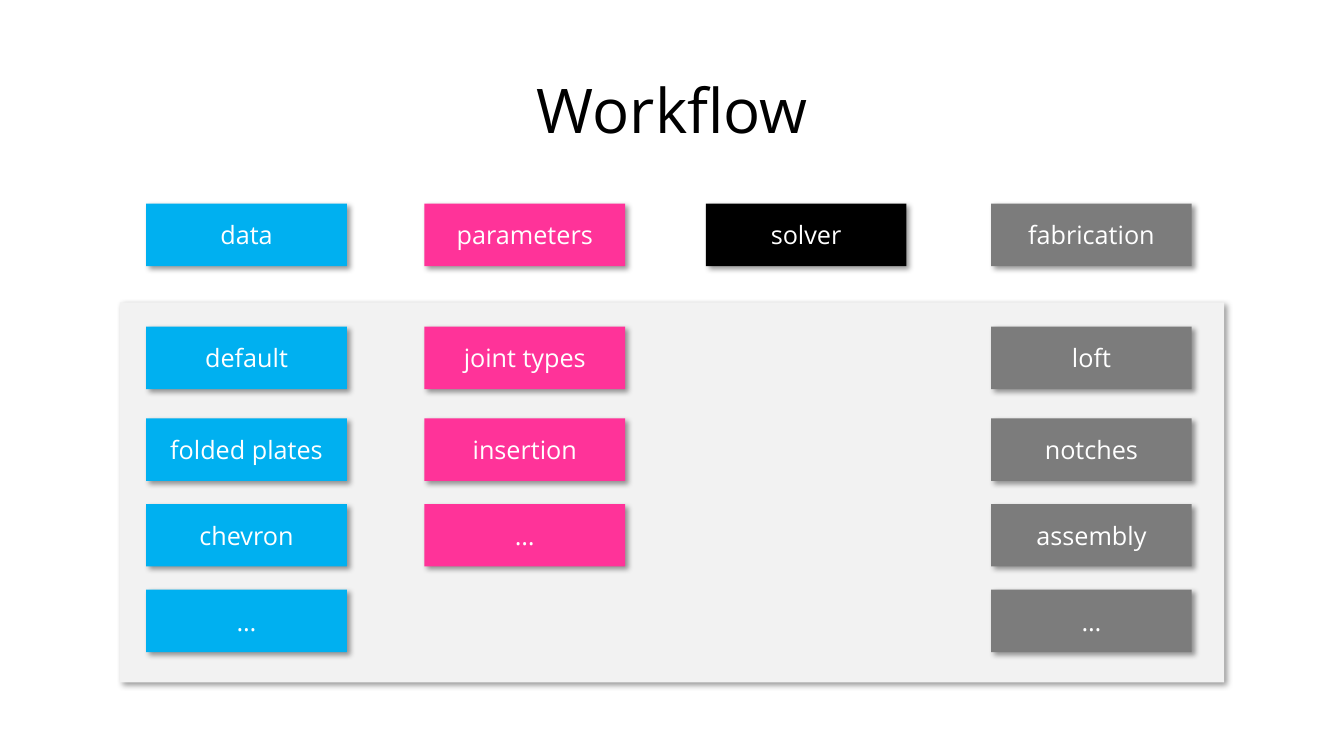
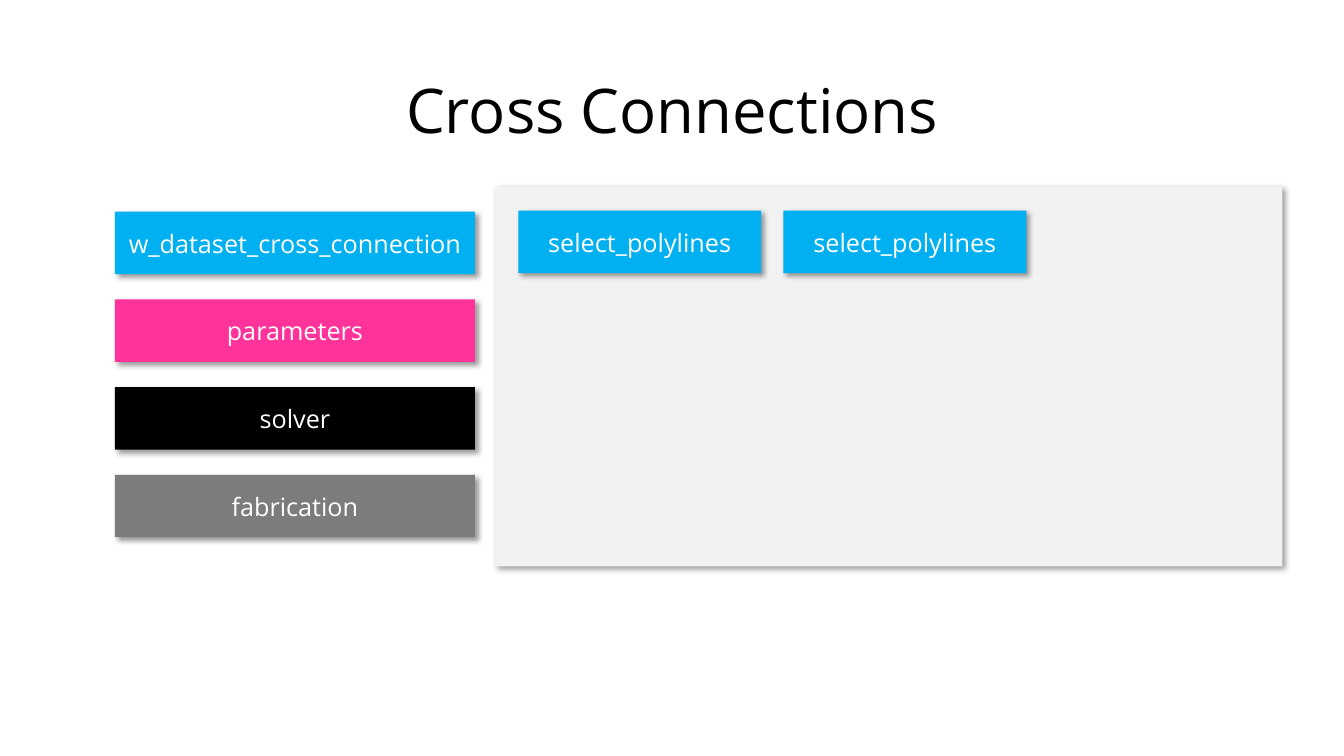
from dataclasses import dataclass

from lxml import etree
from pptx import Presentation
from pptx.dml.color import RGBColor
from pptx.enum.shapes import MSO_SHAPE
from pptx.enum.text import MSO_ANCHOR, PP_ALIGN
from pptx.oxml import parse_xml
from pptx.util import Inches, Pt


@dataclass(frozen=True)
class Theme:
    font: str = "Open Sans"
    title_size: int = 44
    box_size: int = 18
    box_height: float = 0.62
    data: str = "00B0F0"
    parameters: str = "FF3399"
    solver: str = "000000"
    fabrication: str = "7C7C7C"
    panel: str = "F2F2F2"
    title_text: str = "000000"
    box_text: str = "FFFFFF"


THEME = Theme()
SHADOW = (
    '<a:outerShdw xmlns:a="http://schemas.openxmlformats.org/drawingml/2006/main" '
    'blurRad="50800" dist="38100" dir="2700000" algn="tl" rotWithShape="0">'
    '<a:srgbClr val="000000"><a:alpha val="40000"/></a:srgbClr></a:outerShdw>'
)


def write_text(shape, text, size, color, line_spacing=1.0):
    """Fill a shape with one centred line in the theme font."""
    frame = shape.text_frame
    frame.text = text
    frame.word_wrap = True
    frame.vertical_anchor = MSO_ANCHOR.MIDDLE
    paragraph = frame.paragraphs[0]
    paragraph.alignment = PP_ALIGN.CENTER
    paragraph.line_spacing = line_spacing
    font = paragraph.runs[0].font
    for attribute, value in {"name": THEME.font, "size": Pt(size)}.items():
        setattr(font, attribute, value)
    font.color.rgb = RGBColor.from_string(color)


def add_box(slide, left, top, width, height, fill, text=""):
    """Add a borderless rectangle with a soft shadow to the lower right."""
    box = slide.shapes.add_shape(
        MSO_SHAPE.RECTANGLE, Inches(left), Inches(top), Inches(width), Inches(height)
    )
    box.fill.solid()
    box.fill.fore_color.rgb = RGBColor.from_string(fill)
    box.line.fill.background()
    box.shadow.inherit = False
    effects = next(box.element.spPr.iterchildren("{*}effectLst"))
    effects.append(parse_xml(SHADOW))
    if text:
        write_text(box, text, THEME.box_size, THEME.box_text)


presentation = Presentation()
presentation.slide_width = Inches(13.33)
presentation.slide_height = Inches(7.5)
title_only = presentation.slide_layouts[5]

# Slides with their titles and the grey panel behind the boxes
slides = []
for heading, panel_area in [
    ("Workflow", (1.19, 3, 10.95, 3.77)),
    ("Cross Connections", (4.91, 1.85, 7.81, 3.77)),
]:
    slide = presentation.slides.add_slide(title_only)
    title = slide.shapes.title
    title_area = {"left": 0.92, "top": 0.4, "width": 11.5, "height": 1.45}
    for attribute, value in title_area.items():
        setattr(title, attribute, Inches(value))
    write_text(title, heading, THEME.title_size, THEME.title_text, line_spacing=0.9)
    add_box(slide, *panel_area, THEME.panel)
    slides.append(slide)
workflow, cross_connections = slides

# Workflow: one column per stage, its heading above the panel
stage_rows = [2.02, 3.24, 4.15, 5, 5.85]
stages = [
    (1.45, THEME.data, ["data", "default", "folded plates", "chevron", "…"]),
    (4.21, THEME.parameters, ["parameters", "joint types", "insertion", "…"]),
    (7, THEME.solver, ["solver"]),
    (9.83, THEME.fabrication, ["fabrication", "loft", "notches", "assembly", "…"]),
]
for left, color, labels in stages:
    for top, label in zip(stage_rows, labels):
        add_box(workflow, left, top, 1.99, THEME.box_height, color, label)

# Cross Connections: stages stacked on the left, selections in the panel
stacked_stages = [
    ("w_dataset_cross_connection", THEME.data),
    ("parameters", THEME.parameters),
    ("solver", THEME.solver),
    ("fabrication", THEME.fabrication),
]
for row, (label, color) in enumerate(stacked_stages):
    add_box(cross_connections, 1.14, 2.1 + row * 0.87, 3.57, THEME.box_height, color, label)

for column in range(2):
    add_box(cross_connections, 5.14 + column * 2.63, 2.09, 2.41, THEME.box_height,
            THEME.data, "select_polylines")

presentation.save("out.pptx")
